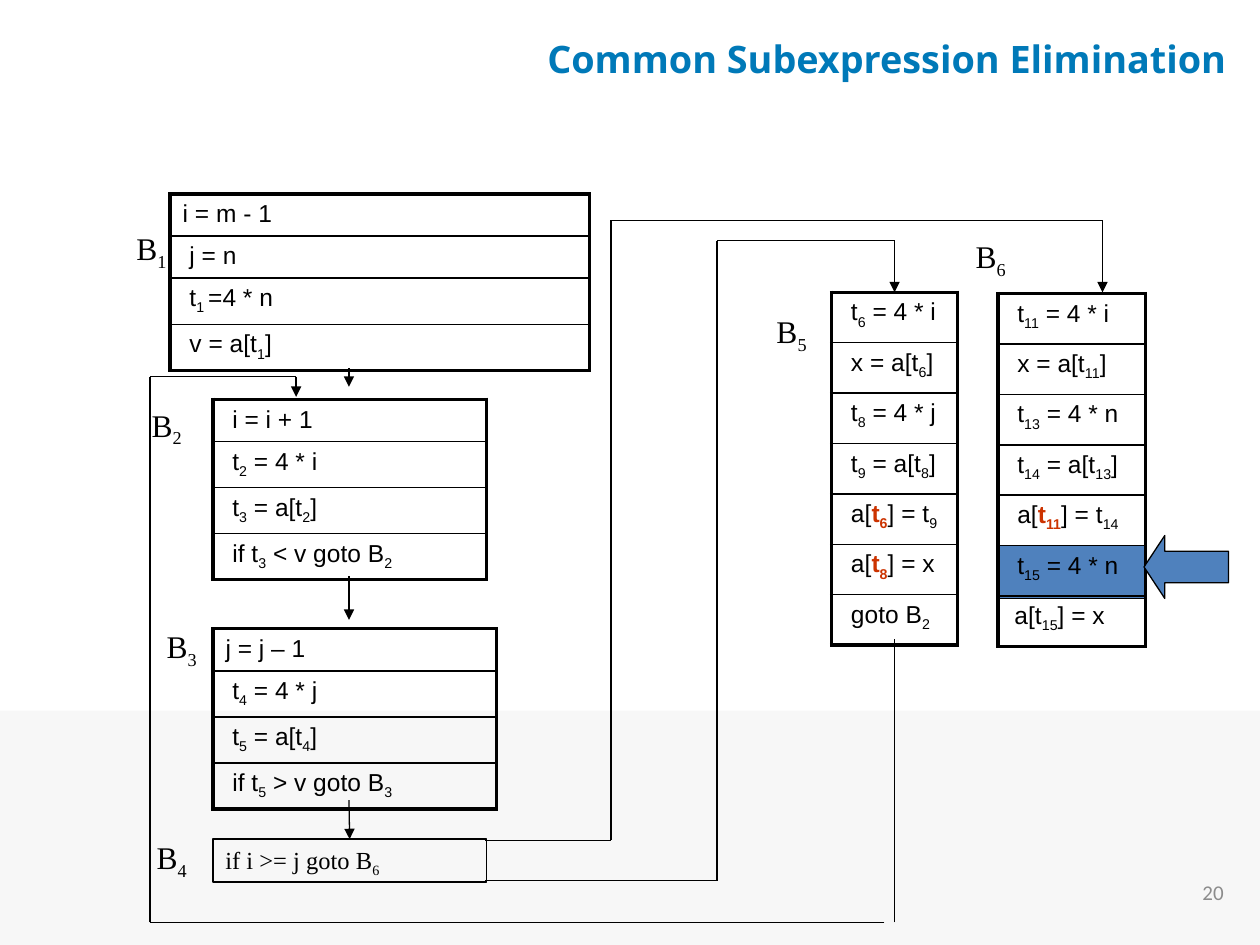
from dataclasses import dataclass
from itertools import pairwise

from lxml import etree
from pptx import Presentation
from pptx.dml.color import RGBColor
from pptx.enum.shapes import MSO_CONNECTOR, MSO_SHAPE
from pptx.enum.text import MSO_ANCHOR, PP_ALIGN
from pptx.oxml import parse_xml
from pptx.oxml.ns import nsdecls, qn
from pptx.util import Inches, Pt

LINE = MSO_CONNECTOR.STRAIGHT
RECT, ARROW = MSO_SHAPE.RECTANGLE, MSO_SHAPE.LEFT_ARROW
TOP, MID = MSO_ANCHOR.TOP, MSO_ANCHOR.MIDDLE
LEFT, MIDDLE, RIGHT = PP_ALIGN.LEFT, PP_ALIGN.CENTER, PP_ALIGN.RIGHT
COLS, ROWS = 100, 75


@dataclass(frozen=True)
class Theme:
    """Colours, fonts as (face, size, colour), and line widths in points."""
    ink: str = "000000"
    band: str = "F7F7F7"
    mark: str = "4F81BD"
    hot: str = "CC3300"
    head: tuple = ("Open Sans", 21.6, "0079B8")
    code: tuple = ("Arial", 14, "000000")
    test: tuple = ("Times New Roman", 14, "000000")
    tag: tuple = ("Times New Roman", 18, "000000")
    page: tuple = ("Calibri", 12, "8C8C8C")
    thin: float = 0.75
    rule: float = 1
    edge: float = 2.25


LOOK = Theme()

BLOCKS = [
    (13.5, 15.4, 33.3, 3.1,
     ["i = m - 1", " j = n", " t~1 ~=4 * n", " v = a[t~1~]"]),
    (16.9, 31.7, 21.7, 2.9,
     [" i = i + 1", " t~2~ = 4 * i", " t~3~ = a[t~2~]", " if t~3~ < v goto B~2~"]),
    (16.9, 49.9, 22.5, 3.3,
     ["j = j – 1", " t~4~ = 4 * j", " t~5~ = a[t~4~]", " if t~5~ > v goto B~3~"]),
    (66, 23.2, 10, 4,
     [" t~6~ = 4 * i", " x = a[t~6~]", " t~8~ = 4 * j", " t~9~ = a[t~8~]",
      " a[^t~6~^] = t~9~", " a[^t~8~^] = x", " goto B~2~"]),
    (79.2, 23.3, 11.7, 4,
     [" t~11~ = 4 * i", " x = a[t~11~]", " t~13~ = 4 * n", " t~14~ = a[t~13~]",
      " a[^t~11~^] = t~14~", " t~15~ = 4 * n", "~ ~a[t~15~] = x"]),
]
TAGS = [(6.7, 17.7), (7.9, 31.7), (9.1, 49.3), (8.3, 66), (57.5, 24.3), (73.3, 18.3)]
ROUTES = [
    [(27.7, 29.2), (27.7, 30.7)],
    [(27.7, 45.7), (27.7, 49.2)],
    [(38.5, 66.7), (48.5, 66.7), (48.5, 17.5), (87.5, 17.5), (87.5, 23.2)],
    [(38.5, 69.9), (56.9, 69.9), (56.9, 19.1), (71, 19.1), (71, 23.2)],
    [(70.2, 73.2), (11.9, 73.2), (11.9, 29.9), (23.5, 29.9), (23.5, 31.5)],
]


def grid(*cells):
    """Turn counts of grid cells into lengths."""
    return [Inches(n * 10 / COLS) for n in cells]


def write(para, text, font, bold=False):
    """Add runs; ~ toggles subscript and ^ toggles the hot colour."""
    face, size, tint = font
    for i, part in enumerate(text.split("^")):
        for j, bit in enumerate(part.split("~")):
            if not bit:
                continue
            run = para.add_run()
            run.text = bit
            run.font.name, run.font.size = face, Pt(size)
            run.font.bold = bold or i % 2 == 1
            run.font.color.rgb = RGBColor.from_string(LOOK.hot if i % 2 else tint)
            if j % 2:
                run.font._element.set("baseline", "-25000")


def label(slide, box, text, font, align, anchor=TOP, bold=False):
    """Add a text box with one line."""
    frame = slide.shapes.add_textbox(*grid(*box)).text_frame
    frame.word_wrap, frame.vertical_anchor = True, anchor
    frame.paragraphs[0].alignment = align
    write(frame.paragraphs[0], text, font, bold)


def shape(slide, kind, box, fill=None, line=True):
    """Add a plain shape."""
    item = slide.shapes.add_shape(kind, *grid(*box))
    item.shadow.inherit = False
    if fill:
        item.fill.solid()
        item.fill.fore_color.rgb = RGBColor.from_string(fill)
    else:
        item.fill.background()
    if line:
        item.line.color.rgb = RGBColor.from_string(LOOK.ink)
        item.line.width = Pt(LOOK.thin)
    else:
        item.line.fill.background()
    return item


def border(cell, side, width):
    """Draw one side of a cell."""
    cell._tc.get_or_add_tcPr().append(parse_xml(
        f'<a:ln{side} {nsdecls("a")} w="{Pt(width)}"><a:solidFill>'
        f'<a:srgbClr val="{LOOK.ink}"/></a:solidFill></a:ln{side}>'))


def block(slide, left, top, width, pitch, codes):
    """Add a basic block as a table with one statement a row."""
    count = len(codes)
    box = grid(left, top, width, pitch * count)
    table = slide.shapes.add_table(count, 1, *box).table
    table.first_row = table.horz_banding = False
    for i, code in enumerate(codes):
        table.rows[i].height = grid(pitch)[0]
        cell = table.cell(i, 0)
        write(cell.text_frame.paragraphs[0], code, LOOK.code)
        border(cell, "L", LOOK.edge)
        border(cell, "R", LOOK.edge)
        border(cell, "T", LOOK.rule if i else LOOK.edge)
        border(cell, "B", LOOK.rule if i < count - 1 else LOOK.edge)
        cell.fill.background()


def wire(slide, start, end, head=False):
    """Add a straight line, with an arrowhead if asked."""
    item = slide.shapes.add_connector(LINE, *grid(*start, *end))
    item.line.color.rgb = RGBColor.from_string(LOOK.ink)
    item.line.width = Pt(LOOK.thin)
    if head:
        etree.SubElement(item.line._get_or_add_ln(), qn("a:tailEnd"), type="triangle")
    etree.SubElement(item._element.spPr, qn("a:effectLst"))
    return item


def route(slide, points):
    """Join points with lines and put an arrowhead on the last."""
    for start, end in pairwise(points):
        wire(slide, start, end, end == points[-1])


def main():
    """Build the slide and save it."""
    deck = Presentation()
    deck.slide_width, deck.slide_height = grid(COLS, ROWS)
    slide = deck.slides.add_slide(deck.slide_layouts[6])
    shape(slide, RECT, (0, 56.4, COLS, ROWS - 56.4), LOOK.band, False)
    label(slide, (66.4, 68.2, 31.7, 5.2), "20", LOOK.page, RIGHT, MID)
    shape(slide, RECT, (79.2, 43.3, 11.7, 4.2), LOOK.mark)
    label(slide, (41.7, 1.7, 57.4, 5.8), "Common Subexpression Elimination",
          LOOK.head, MIDDLE, MID, True)
    for item in BLOCKS:
        block(slide, *item)
    test = shape(slide, RECT, (16.9, 66.6, 21.7, 3.4))
    test.text_frame.vertical_anchor = TOP
    test.text_frame.paragraphs[0].alignment = LEFT
    write(test.text_frame.paragraphs[0], "if i >= j goto B~6~", LOOK.test)
    for points in ROUTES:
        route(slide, points)
    wire(slide, (27.7, 63.5), (27.7, 66.6), True).end_connect(test, 0)
    wire(slide, (71, 73.2), (71, 50.7))
    for n, (left, top) in enumerate(TAGS, 1):
        label(slide, (left, top, 7.5, 4), f"B~{n}~", LOOK.tag, RIGHT)
    arrow = shape(slide, ARROW, (90.8, 42.5, 6.7, 5), LOOK.mark)
    arrow.adjustments[0], arrow.adjustments[1] = 0.5, 0.33
    deck.save("out.pptx")


if __name__ == "__main__":
    main()
